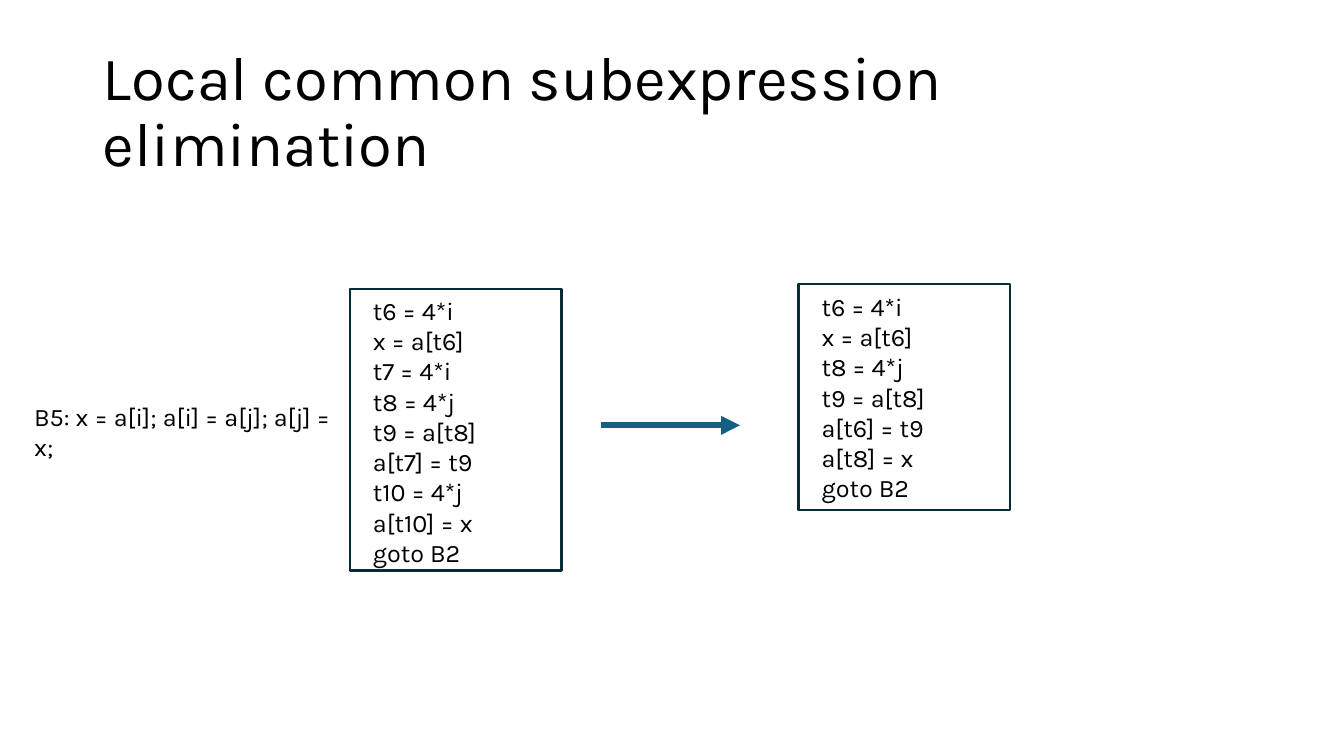
import pptx
import pptx.util
import pptx.dml.color
import pptx.enum.shapes
import pptx.enum.text
import pptx.oxml.ns
import lxml.etree
from pptx.util import Inches

TITLE = "Local common subexpression elimination"
SOURCE = "B5: x = a[i]; a[i] = a[j]; a[j] = x;"
BLOCKS = [
    {"frame": (3.47, 2.87, 2.1, 2.79), "text": (3.6, 2.88, 1.85, 2.83),
     "code": ["t6 = 4*i", "x = a[t6]", "t7 = 4*i", "t8 = 4*j", "t9 = a[t8]",
              "a[t7] = t9", "t10 = 4*j", "a[t10] = x", "goto B2"]},
    {"frame": (7.92, 2.82, 2.1, 2.24), "text": (8.05, 2.84, 1.85, 2.22),
     "code": ["t6 = 4*i", "x = a[t6]", "t8 = 4*j", "t9 = a[t8]",
              "a[t6] = t9", "a[t8] = x", "goto B2"]},
]
THEME = {"font": "Karla", "title": 44, "body": 18, "text": "000000",
         "frame": "092A39", "arrow": "156082"}


def rgb(name):
    return pptx.dml.color.RGBColor.from_string(THEME[name])


def write(sp, lines, size="body", spacing=None, anchor="TOP"):
    tf = sp.text_frame
    tf.word_wrap = True
    tf.auto_size = pptx.enum.text.MSO_AUTO_SIZE.NONE
    tf.vertical_anchor = pptx.enum.text.MSO_ANCHOR[anchor]
    for i, line in enumerate(lines):
        p = tf.paragraphs[0] if i == 0 else tf.add_paragraph()
        p.alignment = pptx.enum.text.PP_ALIGN.LEFT
        p.line_spacing = spacing
        r = p.add_run()
        r.text = line
        r.font.name = THEME["font"]
        r.font.size = pptx.util.Pt(THEME[size])
        r.font.color.rgb = rgb("text")


def add_block(s, frame, text, code):
    sp = s.shapes.add_shape(pptx.enum.shapes.MSO_SHAPE.RECTANGLE, *map(Inches, frame))
    sp.shadow.inherit = False
    sp.fill.background()
    sp.line.color.rgb = rgb("frame")
    sp.line.width = pptx.util.Pt(1.5)
    write(s.shapes.add_textbox(*map(Inches, text)), code)


def add_arrow(s, x1, x2, y):
    sp = s.shapes.add_connector(pptx.enum.shapes.MSO_CONNECTOR.STRAIGHT,
                                Inches(x1), Inches(y), Inches(x2), Inches(y))
    sp.line.color.rgb = rgb("arrow")
    sp.line.width = pptx.util.Pt(4.5)
    qn = pptx.oxml.ns.qn
    lxml.etree.SubElement(sp.line._get_or_add_ln(), qn("a:tailEnd"), type="triangle")
    lxml.etree.SubElement(sp._element.spPr, qn("a:effectLst"))


def main():
    prs = pptx.Presentation()
    prs.slide_width, prs.slide_height = Inches(13.33), Inches(7.5)
    s = prs.slides.add_slide(prs.slide_layouts[5])
    title = s.shapes.title
    title.left, title.top, title.width, title.height = map(Inches, (0.92, 0.4, 11.5, 1.45))
    write(title, [TITLE], size="title", spacing=0.9, anchor="MIDDLE")
    write(s.shapes.add_textbox(*map(Inches, (0.24, 3.93, 3.23, 0.4))), [SOURCE])
    for block in BLOCKS:
        add_block(s, **block)
    add_arrow(s, 5.96, 7.34, 4.22)
    prs.save("out.pptx")


if __name__ == "__main__":
    main()
